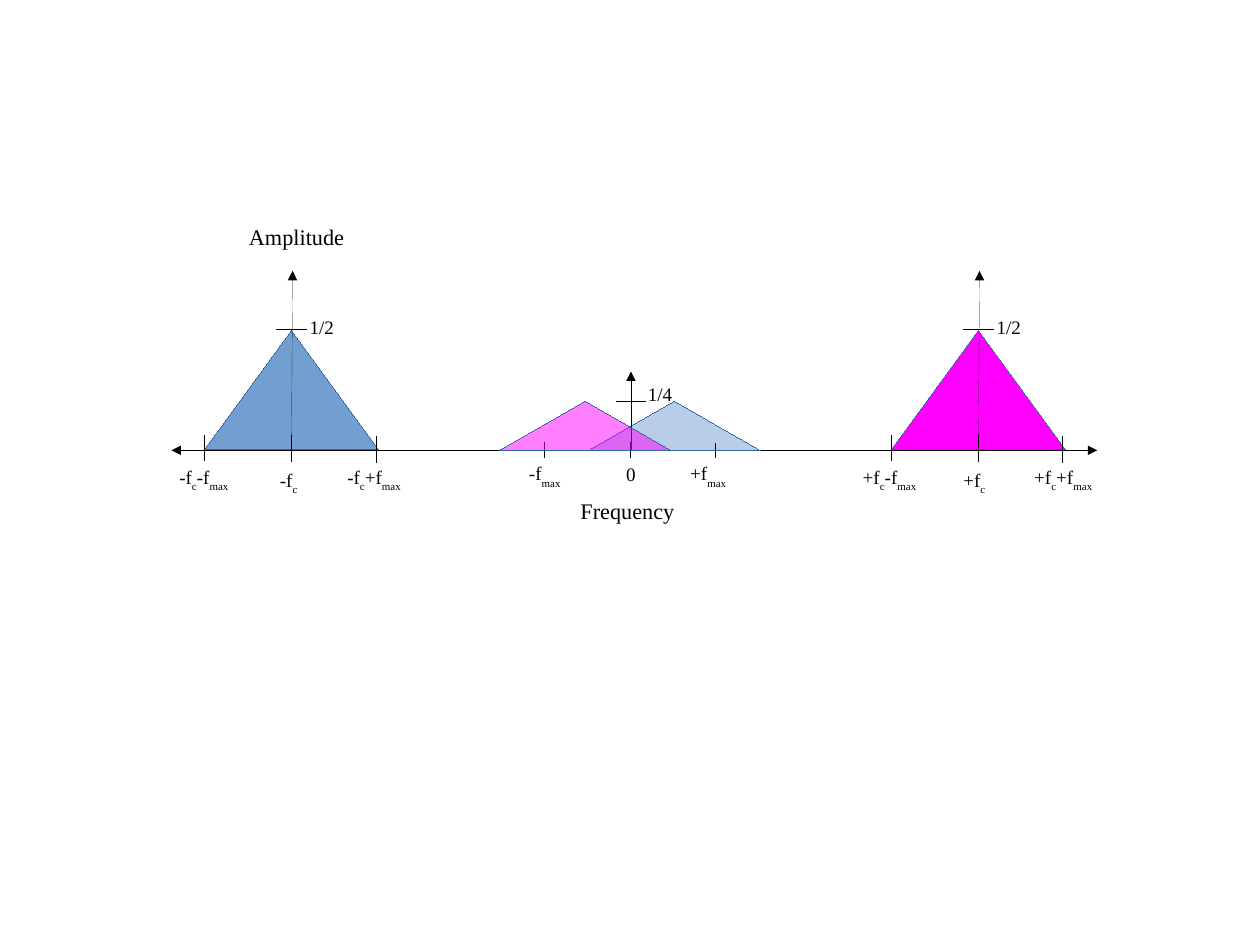
from dataclasses import dataclass

from lxml.etree import SubElement
from pptx import Presentation
from pptx.dml.color import RGBColor
from pptx.enum.shapes import MSO_CONNECTOR, MSO_SHAPE
from pptx.enum.text import MSO_AUTO_SIZE
from pptx.oxml.ns import qn
from pptx.util import Inches, Pt


@dataclass(frozen=True)
class Theme:
    ink: RGBColor = RGBColor(0x00, 0x00, 0x00)
    outline: RGBColor = RGBColor(0x34, 0x65, 0xA4)
    blue: RGBColor = RGBColor(0x72, 0x9F, 0xCF)
    magenta: RGBColor = RGBColor(0xFF, 0x00, 0xFF)
    font: str = "Times New Roman"
    title: int = 14
    label: int = 12


theme = Theme()
AXIS = 3.94
CM_PER_INCH = 2.54

deck = Presentation()
deck.slide_width, deck.slide_height = Inches(28 / CM_PER_INCH), Inches(21 / CM_PER_INCH)
page = deck.slides.add_slide(deck.slide_layouts[6])


def add_line(shapes, x1, y1, x2, y2, arrows=()):
    """Draw a hairline; arrows may hold headEnd (start) and tailEnd (end)."""
    line = shapes.add_connector(
        MSO_CONNECTOR.STRAIGHT, Inches(x1), Inches(y1), Inches(x2), Inches(y2))
    line.line.color.rgb = theme.ink
    stroke = line._element.spPr.find(qn("a:ln"))
    stroke.set("w", "0")
    for end in arrows:
        SubElement(stroke, qn(f"a:{end}"), type="triangle")
    SubElement(line._element.spPr, qn("a:effectLst"))


def add_label(shapes, text, left, top, width, height=0.32, size=theme.label):
    """Write text in which every second part between underscores is a subscript."""
    box = shapes.add_textbox(Inches(left), Inches(top), Inches(width), Inches(height))
    box.text_frame.word_wrap = False
    box.text_frame.auto_size = MSO_AUTO_SIZE.SHAPE_TO_FIT_TEXT
    para = box.text_frame.paragraphs[0]
    for index, part in enumerate(text.split("_")):
        span = para.add_run()
        span.text = part
        span.font.name = theme.font
        span.font.size = Pt(size)
        span.font.color.rgb = theme.ink
        if index % 2:
            span.font._element.set("baseline", "-33000")


add_line(page.shapes, 1.5, AXIS, 9.6, AXIS, ("headEnd", "tailEnd"))
add_label(page.shapes, "Amplitude", 2.08, 1.9, 1.06, 0.31, theme.title)
add_label(page.shapes, "Frequency", 4.98, 4.3, 1.06, 0.31, theme.title)

triangles = []

# Bands around the negative and positive carrier
bands = [
    (2.55, theme.blue, [("-f_c_-f_max", 1.47, 4.02, 0.72),
                        ("-f_c", 2.35, 4.05, 0.41),
                        ("-f_c_+f_max", 2.94, 4.02, 0.67)]),
    (8.56, theme.magenta, [("+f_c_-f_max", 7.45, 4.02, 0.76),
                           ("+f_c", 8.33, 4.05, 0.45),
                           ("+f_c_+f_max", 8.95, 4.02, 0.81)]),
]
for carrier, color, labels in bands:
    band = page.shapes.add_group_shape().shapes
    triangle = band.add_shape(
        MSO_SHAPE.ISOSCELES_TRIANGLE,
        Inches(carrier - 0.76), Inches(2.89), Inches(1.52), Inches(1.04))
    triangles.append((triangle, color, False))
    add_line(band, carrier, 3.93, carrier + 0.01, 2.37, ["tailEnd"])
    add_line(band, carrier - 0.13, 2.88, carrier + 0.13, 2.88)
    for offset, top, bottom in [(-0.76, 3.81, 4.03), (0, 3.81, 4.04), (0.74, 3.82, 4.05)]:
        add_line(band, carrier + offset, top, carrier + offset, bottom)
    add_label(band, "1/2", carrier + 0.06, 2.71, 0.48, 0.28)
    for text, left, top, width in labels:
        add_label(band, text, left, top, width)

# Overlapping bands around zero, with the vertical axis between them
for left, color in [(5.15, theme.blue), (4.37, theme.magenta)]:
    triangle = page.shapes.add_shape(
        MSO_SHAPE.ISOSCELES_TRIANGLE,
        Inches(left), Inches(3.51), Inches(1.5), Inches(0.43))
    triangles.append((triangle, color, True))
    if color == theme.blue:
        add_line(page.shapes, 5.52, AXIS, 5.52, 3.25, ["tailEnd"])
        add_line(page.shapes, 5.39, 3.51, 5.65, 3.51)
        for x, top in [(4.76, 3.87), (5.52, 3.87), (6.26, 3.88)]:
            add_line(page.shapes, x, top, x, 4)
add_label(page.shapes, "1/4", 5.57, 3.3, 0.48, 0.28)
add_label(page.shapes, "-f_max", 4.53, 3.99, 0.54)
add_label(page.shapes, "0", 5.38, 4, 0.33, 0.28)
add_label(page.shapes, "+f_max", 5.94, 3.99, 0.59)

for triangle, color, translucent in triangles:
    triangle.shadow.inherit = False
    triangle.fill.solid()
    triangle.fill.fore_color.rgb = color
    triangle.line.color.rgb = theme.outline
    outline = triangle._element.spPr
    outline.find(qn("a:ln")).set("w", "0")
    if translucent:
        tint = outline.find(f"{qn('a:solidFill')}/{qn('a:srgbClr')}")
        SubElement(tint, qn("a:alpha"), val="50000")

deck.save("out.pptx")
